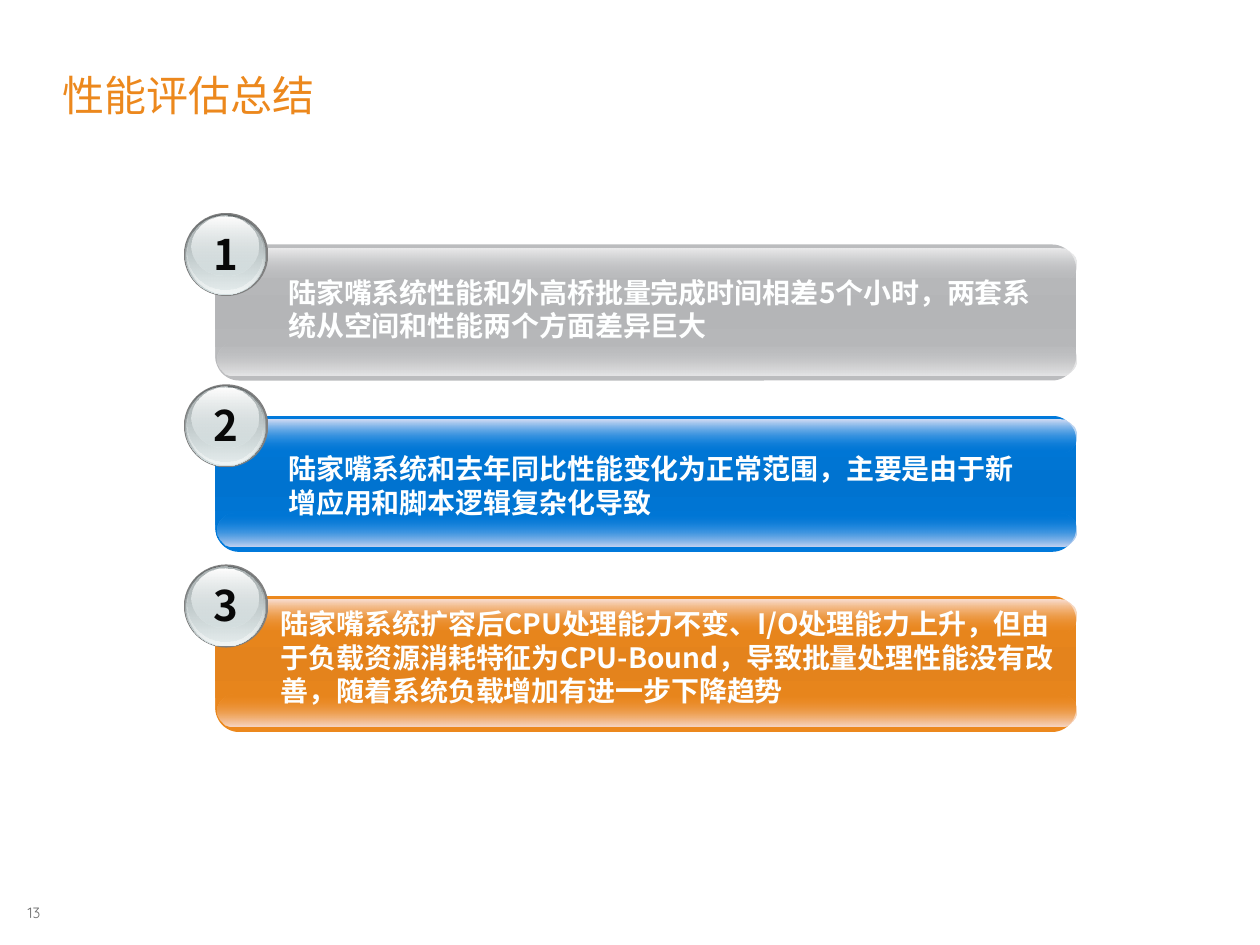
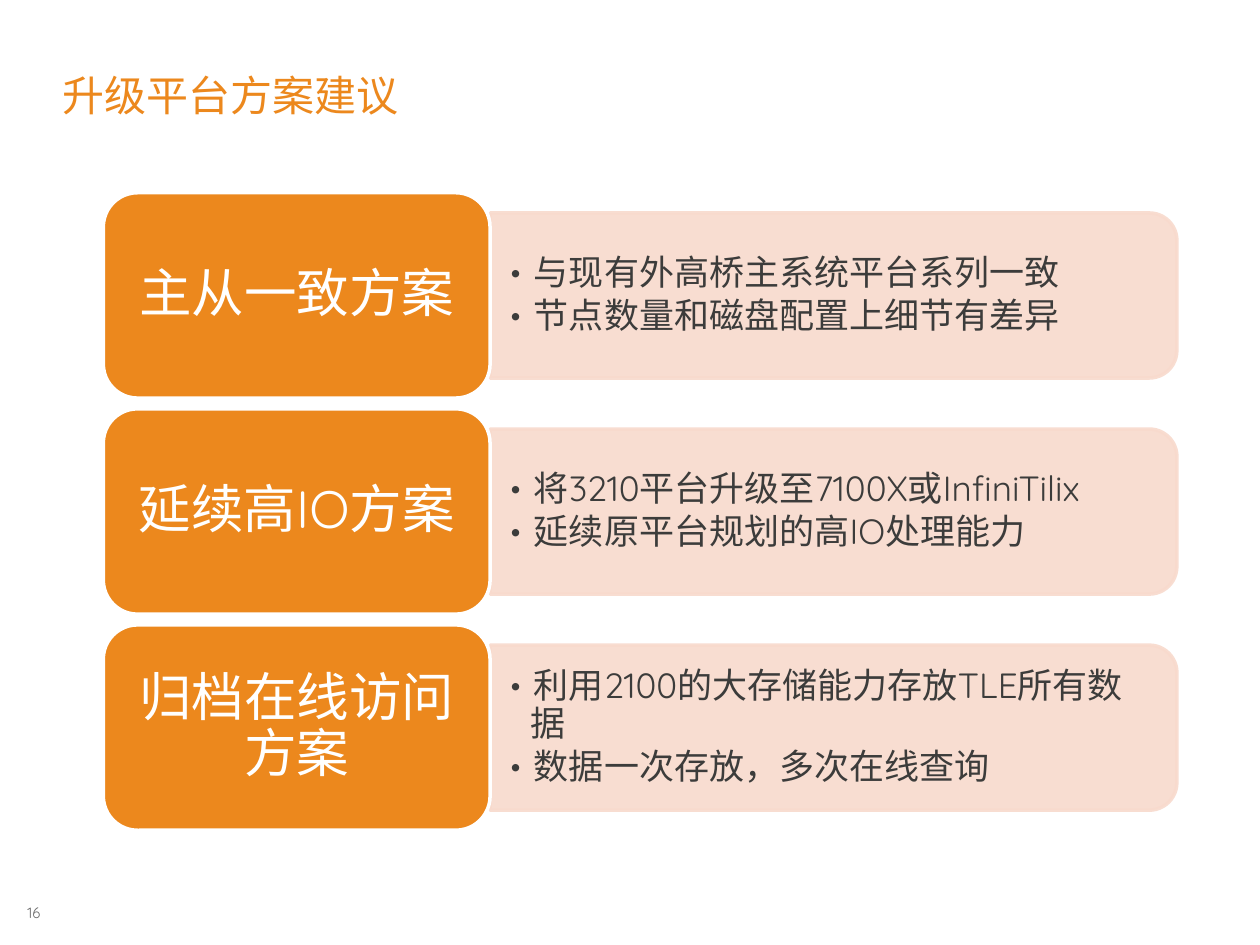
from dataclasses import dataclass

from lxml import etree
from pptx import Presentation
from pptx.dml.color import RGBColor
from pptx.enum.shapes import MSO_SHAPE as SHAPE
from pptx.enum.text import MSO_ANCHOR as ANCHOR, PP_ALIGN as ALIGN
from pptx.oxml.ns import qn
from pptx.util import Inches, Pt

COLORS = {
    "orange": "EC881D", "orange_mid": "E4831C", "orange_top": "F9E0D6", "orange_end": "F7D8CB",
    "gray": "BBBCBE", "gray_mid": "B4B5B7", "gray_top": "EBEBEC", "gray_end": "E6E6E7",
    "blue": "0079DB", "blue_mid": "0073D0", "blue_top": "D6DEF4", "blue_end": "CAD5F1",
    "peach": "F8DACD", "white": "FFFFFF", "bar_text": "FEFFFF", "number": "080808",
    "body": "3C3C3B", "page": "6C6C6C", "rim": "808080", "rim_dark": "636869",
    "glass": "D6E1E2", "glass_light": "F1F5F5", "glass_dark": "AAB2B3",
}
CJK_FONT = "Noto Sans CJK SC"
LATIN_FONT = "Quicksand"


@dataclass(frozen=True)
class Stop:
    pos: int
    color: str
    opacity: int = 100


@dataclass(frozen=True)
class Layer:
    """One disc of a glass ball, placed from the ball's corner."""
    dx: float
    dy: float
    width: float
    height: float
    stops: tuple[Stop, ...]


@dataclass(frozen=True)
class Bar:
    top: float
    tone: str
    text: str
    text_box: tuple[float, float, float, float]


@dataclass(frozen=True)
class Plan:
    name: str
    points: tuple[str, ...]


BALL = (
    Layer(0, 0, 0.67, 0.66, (Stop(0, "rim"), Stop(100, "rim"))),
    Layer(0.01, 0.01, 0.64, 0.64, (Stop(0, "rim_dark"), Stop(100, "glass"))),
    Layer(0.02, 0.01, 0.62, 0.63, (Stop(0, "glass", 0), Stop(100, "glass_light"))),
    Layer(0.03, 0.02, 0.59, 0.59, (Stop(0, "glass_dark"), Stop(100, "glass", 48))),
    Layer(0.06, 0.03, 0.53, 0.47, (Stop(0, "white"), Stop(100, "glass", 38))),
)
BARS = (
    Bar(1.94, "gray", "陆家嘴系统性能和外高桥批量完成时间相差5个小时，两套系统从空间和性能两个方面差异巨大",
        (2.19, 2.13, 6.17, 0.64)),
    Bar(3.3, "blue", "陆家嘴系统和去年同比性能变化为正常范围，主要是由于新增应用和脚本逻辑复杂化导致",
        (2.19, 3.53, 6.17, 0.64)),
    Bar(4.73, "orange", "陆家嘴系统扩容后CPU处理能力不变、I/O处理能力上升，但由于负载资源消耗特征为"
        "CPU-Bound，导致批量处理性能没有改善，随着系统负载增加有进一步下降趋势",
        (2.13, 4.76, 6.35, 0.91)),
)
PLANS = (
    Plan("主从一致方案", ("与现有外高桥主系统平台系列一致", "节点数量和磁盘配置上细节有差异")),
    Plan("延续高IO方案", ("将3210平台升级至7100X或InfiniTilix", "延续原平台规划的高IO处理能力")),
    Plan("归档在线访问方案", ("利用2100的大存储能力存放TLE所有数据", "数据一次存放，多次在线查询")),
)
PLAN_TOP, PLAN_PITCH, PLAN_HEIGHT = 1.53, 1.715, 1.63
PANEL_LEFT, PANEL_WIDTH, PANEL_HEIGHT = 3.89, 5.45, 1.31


def rgb(name: str) -> RGBColor:
    return RGBColor.from_string(COLORS[name])


def set_opacity(color_el, percent: int) -> None:
    etree.SubElement(color_el, qn("a:alpha")).set("val", str(percent * 1000))


def write(sp, *lines: str, size: float, color: str, font: str = LATIN_FONT, bold: bool = False,
          align=ALIGN.LEFT, anchor=ANCHOR.MIDDLE, insets=(0.1, 0.05), wrap: bool = True,
          spacing: float = 1.0, after: float = 0, bullet: bool = False) -> None:
    tf = sp.text_frame
    tf.word_wrap = wrap
    tf.vertical_anchor = anchor
    tf.margin_left = tf.margin_right = Inches(insets[0])
    tf.margin_top = tf.margin_bottom = Inches(insets[1])
    for i, line in enumerate(lines):
        p = tf.add_paragraph() if i else tf.paragraphs[0]
        p.alignment = align
        p.line_spacing = spacing
        p.space_after = Pt(after)
        if bullet:
            ppr = p._p.get_or_add_pPr()
            ppr.set("marL", str(Inches(0.25)))
            ppr.set("indent", str(-Inches(0.25)))
            etree.SubElement(ppr, qn("a:buFont")).set("typeface", CJK_FONT)
            etree.SubElement(ppr, qn("a:buChar")).set("char", "•")
        r = p.add_run()
        r.text = line
        r.font.size = Pt(size)
        r.font.bold = bold
        r.font.name = font
        r.font.color.rgb = rgb(color)
        etree.SubElement(r._r.get_or_add_rPr(), qn("a:ea")).set("typeface", font)


def add_text(slide, box: tuple[float, float, float, float], *lines: str, **style):
    sp = slide.shapes.add_textbox(*map(Inches, box))
    write(sp, *lines, **style)
    return sp


def add_shape(slide, kind, box: tuple[float, float, float, float]):
    sp = slide.shapes.add_shape(kind, *map(Inches, box))
    sp.shadow.inherit = False
    sp.line.fill.background()
    return sp


def fill_gradient(sp, stops: tuple[Stop, ...]) -> None:
    """Fill from top to bottom with any number of stops."""
    sp.fill.gradient()
    sp.fill.gradient_angle = 270
    stop_list = next(sp._element.spPr.iter(qn("a:gsLst")))
    for old in list(stop_list):
        stop_list.remove(old)
    for stop in stops:
        gs = etree.SubElement(stop_list, qn("a:gs"))
        gs.set("pos", str(stop.pos * 1000))
        color_el = etree.SubElement(gs, qn("a:srgbClr"))
        color_el.set("val", COLORS[stop.color])
        if stop.opacity < 100:
            set_opacity(color_el, stop.opacity)


def add_gradient_bar(slide, box, radius: float, *stops: Stop) -> None:
    sp = add_shape(slide, SHAPE.ROUNDED_RECTANGLE, box)
    sp.adjustments[0] = radius
    fill_gradient(sp, stops)


def add_ball(slide, left: float, top: float, number: int) -> None:
    for layer in BALL:
        box = (left + layer.dx, top + layer.dy, layer.width, layer.height)
        fill_gradient(add_shape(slide, SHAPE.OVAL, box), layer.stops)
    add_text(slide, (left + 0.12, top + 0.07, 0.42, 0.5), str(number), size=24,
             color="number", font=CJK_FONT, bold=True, align=ALIGN.CENTER)


def add_bar(slide, bar: Bar, number: int) -> None:
    tone = bar.tone
    add_gradient_bar(slide, (1.71, bar.top, 6.83, 1.08), 0.175,
                     Stop(0, tone), Stop(50, f"{tone}_mid"), Stop(100, tone))
    add_gradient_bar(slide, (1.73, bar.top + 0.78, 6.81, 0.26), 0.5,
                     Stop(0, tone, 0), Stop(100, f"{tone}_end"))
    add_gradient_bar(slide, (1.73, bar.top + 0.03, 6.81, 0.26), 0.5,
                     Stop(0, f"{tone}_top"), Stop(100, tone, 0))
    add_ball(slide, 1.46, bar.top - 0.25, number)
    add_text(slide, bar.text_box, bar.text, size=16, color="bar_text", font=CJK_FONT, bold=True)


def add_plan(slide, plan: Plan, top: float) -> None:
    middle = top + PLAN_HEIGHT / 2
    center = PANEL_LEFT + PANEL_WIDTH / 2
    panel = add_shape(slide, SHAPE.ROUND_2_SAME_RECTANGLE,
                      (center - PANEL_HEIGHT / 2, middle - PANEL_WIDTH / 2,
                       PANEL_HEIGHT, PANEL_WIDTH))
    panel.rotation = 90
    panel.fill.solid()
    panel.fill.fore_color.rgb = panel.line.color.rgb = rgb("peach")
    panel.line.width = Pt(2)
    for color_el in panel._element.spPr.iter(qn("a:srgbClr")):
        set_opacity(color_el, 90)
    add_text(slide, (3.88, middle - 0.59, 5.39, 1.18), *plan.points, size=20, color="body",
             insets=(0.08, 0.04), spacing=0.9, after=3, bullet=True)

    label = add_shape(slide, SHAPE.ROUNDED_RECTANGLE, (0.82, top, 3.07, PLAN_HEIGHT))
    label.fill.solid()
    label.fill.fore_color.rgb = rgb("orange")
    label.line.color.rgb = rgb("white")
    label.line.width = Pt(2)
    write(label, plan.name, size=30, color="white", align=ALIGN.CENTER,
          insets=(0.12, 0.06), spacing=0.9)


def add_slide(prs, title: str, title_font: str, page: int):
    slide = prs.slides.add_slide(prs.slide_layouts[6])
    add_text(slide, (0.17, 7.17, 0.15, 0.14), str(page), size=8.5, color="page",
             align=ALIGN.RIGHT, insets=(0, 0), wrap=False)
    add_text(slide, (0.5, 0.19, 9, 0.77), title, size=24, color="orange", font=title_font,
             anchor=ANCHOR.BOTTOM, insets=(0, 0), spacing=0.95)
    return slide


def main() -> None:
    prs = Presentation()
    prs.slide_width, prs.slide_height = Inches(10), Inches(7.5)

    summary = add_slide(prs, "性能评估总结", CJK_FONT, 13)
    for number, bar in enumerate(BARS, 1):
        add_bar(summary, bar, number)

    proposal = add_slide(prs, "升级平台方案建议", LATIN_FONT, 16)
    for i, plan in enumerate(PLANS):
        add_plan(proposal, plan, PLAN_TOP + i * PLAN_PITCH)

    prs.save("out.pptx")


if __name__ == "__main__":
    main()
